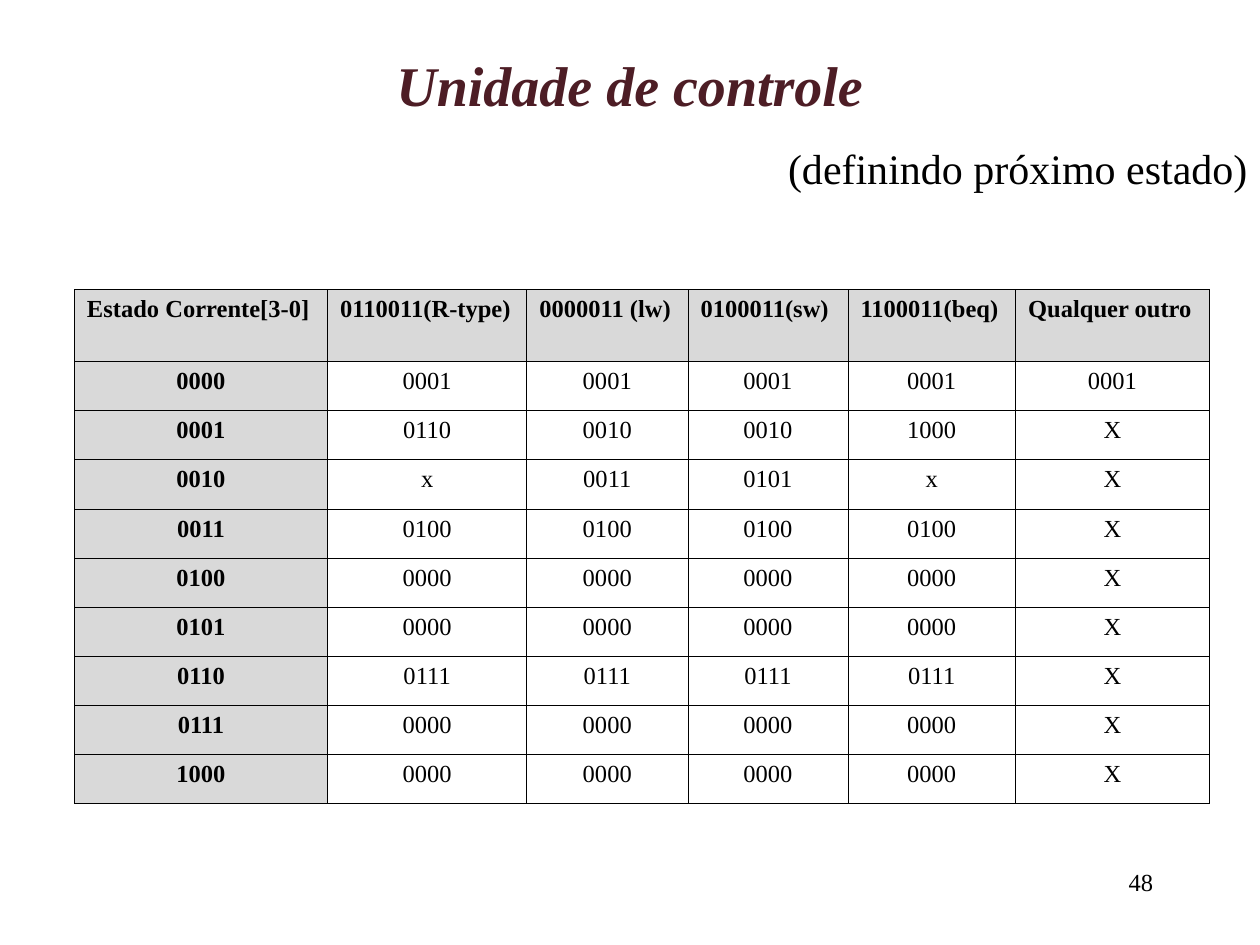
import pptx
import pptx.dml.color
import pptx.enum.text
import pptx.util
from lxml import etree
from pptx.oxml.ns import qn

Inches = pptx.util.Inches
Pt = pptx.util.Pt
ALIGN = pptx.enum.text.PP_ALIGN
ANCHOR = pptx.enum.text.MSO_ANCHOR

FONT = "Times New Roman"
COLORS = {"text": "000000", "title": "4D1D25", "shade": "D9D9D9", "border": "000000"}

TITLE = "Unidade de controle"
SUBTITLE = "(definindo próximo estado)"
PAGE_NUMBER = "48"

HEADER = ["Estado Corrente[3-0]", "0110011(R-type)", "0000011 (lw)",
          "0100011(sw)", "1100011(beq)", "Qualquer outro"]
NEXT_STATES = [
    ["0000", "0001", "0001", "0001", "0001", "0001"],
    ["0001", "0110", "0010", "0010", "1000", "X"],
    ["0010", "x", "0011", "0101", "x", "X"],
    ["0011", "0100", "0100", "0100", "0100", "X"],
    ["0100", "0000", "0000", "0000", "0000", "X"],
    ["0101", "0000", "0000", "0000", "0000", "X"],
    ["0110", "0111", "0111", "0111", "0111", "X"],
    ["0111", "0000", "0000", "0000", "0000", "X"],
    ["1000", "0000", "0000", "0000", "0000", "X"],
]
COLUMN_WIDTHS = [2.01, 1.58, 1.28, 1.27, 1.33, 1.54]
HEADER_HEIGHT = 0.57
ROW_HEIGHT = 0.39
TABLE_LEFT, TABLE_TOP = 0.59, 2.3
BORDER_WIDTH = 0.45


def write(frame, text, size=14, color="text", bold=False, italic=False, align=ALIGN.LEFT):
    para = frame.paragraphs[0]
    para.alignment = align
    span = para.add_run()
    span.text = text
    font = span.font
    font.name, font.size, font.bold, font.italic = FONT, Pt(size), bold, italic
    font.color.rgb = pptx.dml.color.RGBColor.from_string(COLORS[color])


def add_text(page, text, left, top, width, height, anchor=ANCHOR.TOP, **text_format):
    frame = page.shapes.add_textbox(*map(Inches, (left, top, width, height))).text_frame
    frame.word_wrap = True
    frame.vertical_anchor = anchor
    write(frame, text, **text_format)


def add_borders(cell):
    properties = cell._tc.get_or_add_tcPr()
    for position, side in enumerate(("lnL", "lnR", "lnT", "lnB")):
        line = etree.Element(qn(f"a:{side}"), w=str(Pt(BORDER_WIDTH)))
        fill = etree.SubElement(line, qn("a:solidFill"))
        etree.SubElement(fill, qn("a:srgbClr"), val=COLORS["border"])
        properties.insert(position, line)


def add_state_table(page):
    rows = [HEADER] + NEXT_STATES
    heights = [HEADER_HEIGHT] + [ROW_HEIGHT] * len(NEXT_STATES)
    size = (sum(COLUMN_WIDTHS), sum(heights))
    table = page.shapes.add_table(
        len(rows), len(HEADER), *map(Inches, (TABLE_LEFT, TABLE_TOP, *size))).table
    table.horz_banding = False
    for column, width in zip(table.columns, COLUMN_WIDTHS):
        column.width = Inches(width)
    for row, height in zip(table.rows, heights):
        row.height = Inches(height)

    for i, values in enumerate(rows):
        for j, value in enumerate(values):
            cell = table.cell(i, j)
            heading = i == 0 or j == 0
            if heading:
                cell.fill.solid()
                cell.fill.fore_color.rgb = pptx.dml.color.RGBColor.from_string(COLORS["shade"])
            else:
                cell.fill.background()
            write(cell.text_frame, value, bold=heading,
                  align=ALIGN.LEFT if i == 0 else ALIGN.CENTER)
            add_borders(cell)


def main():
    deck = pptx.Presentation()
    deck.slide_width, deck.slide_height = Inches(10), Inches(7.5)
    page = deck.slides.add_slide(deck.slide_layouts[6])
    add_text(page, PAGE_NUMBER, 7.17, 6.83, 2.08, 0.5, align=ALIGN.RIGHT)
    add_text(page, TITLE, 0, 0.25, 10, 0.83, anchor=ANCHOR.MIDDLE, size=32,
             color="title", bold=True, italic=True, align=ALIGN.CENTER)
    add_text(page, SUBTITLE, 0, 1.08, 10, 0.5, size=24, align=ALIGN.RIGHT)
    add_state_table(page)
    deck.save("out.pptx")


if __name__ == "__main__":
    main()
